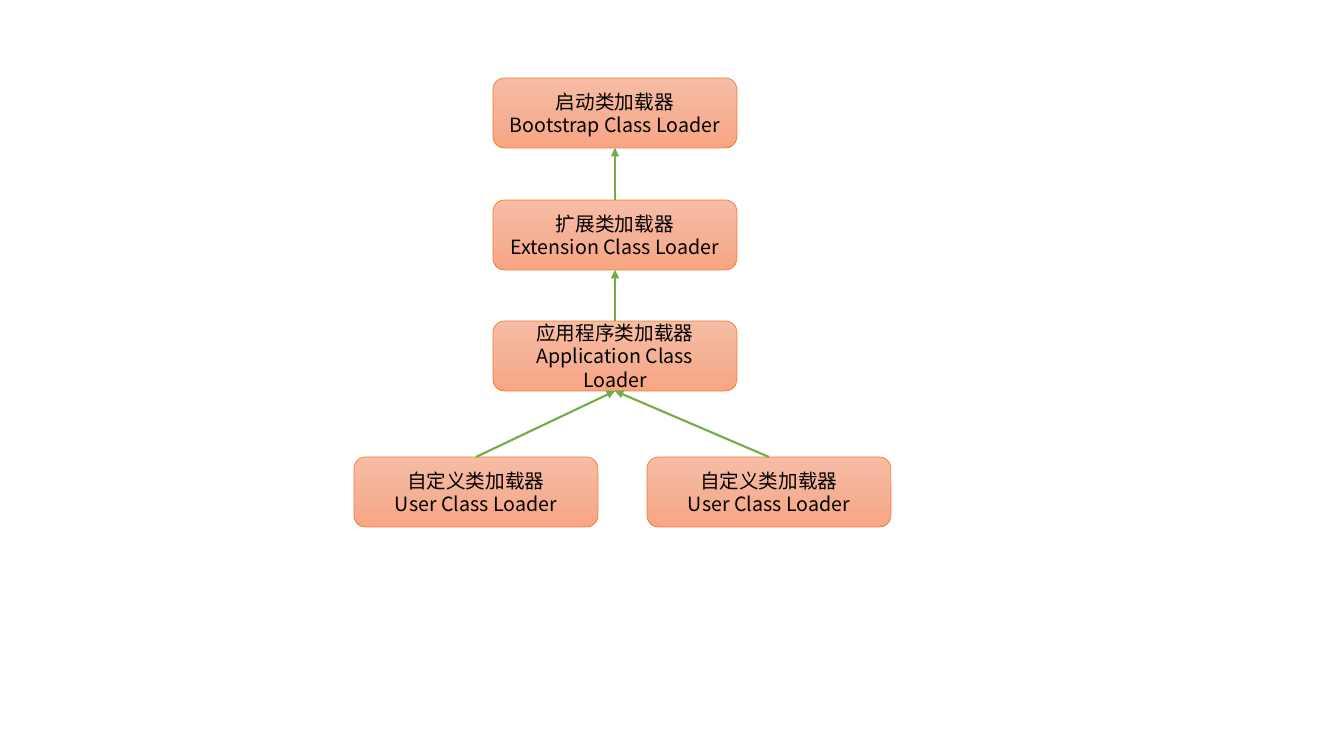
from copy import deepcopy

from pptx import Presentation
from pptx.dml.color import RGBColor
from pptx.enum.shapes import MSO_CONNECTOR, MSO_SHAPE
from pptx.enum.text import MSO_ANCHOR, PP_ALIGN
from pptx.oxml.ns import qn
from pptx.util import Pt
from lxml import etree

ROUNDED = MSO_SHAPE.ROUNDED_RECTANGLE
STRAIGHT = MSO_CONNECTOR.STRAIGHT
CENTER = PP_ALIGN.CENTER
MIDDLE = MSO_ANCHOR.MIDDLE

PX = 914400 / 100.8
TOP, BOTTOM = 0, 2
BOX_WIDTH, BOX_HEIGHT = 244, 70
GRADIENT = [(0, "F7BDA5"), (0.5, "F5B196"), (1, "F8A582")]


def color(hex_string):
    return RGBColor.from_string(hex_string)


def write_text(shape, text, font="Noto Sans CJK SC", size=14, ink="000000", spacing=16.8):
    frame = shape.text_frame
    frame.word_wrap = True
    frame.vertical_anchor = MIDDLE
    frame.text = text
    for paragraph in frame.paragraphs:
        paragraph.alignment = CENTER
        paragraph.line_spacing = Pt(spacing)
        for run in paragraph.runs:
            run.font.size = Pt(size)
            run.font.name = font
            run.font.color.rgb = color(ink)
            # East Asian characters take their typeface from a:ea
            etree.SubElement(run.font._element, qn("a:ea"), typeface=font)


presentation = Presentation()
presentation.slide_width = round(1344 * PX)
presentation.slide_height = round(756 * PX)
slide = presentation.slides.add_slide(presentation.slide_layouts[6])

# Class loader boxes: left, top, text
loaders = {
    "bootstrap": (493, 78, "启动类加载器\nBootstrap Class Loader"),
    "extension": (493, 200, "扩展类加载器\nExtension Class Loader"),
    "application": (493, 321, "应用程序类加载器\nApplication Class Loader"),
    "user left": (354, 457, "自定义类加载器\nUser Class Loader"),
    "user right": (647, 457, "自定义类加载器\nUser Class Loader"),
}
boxes = {}
for name, (left, top, text) in loaders.items():
    box = slide.shapes.add_shape(
        ROUNDED, *(round(length * PX) for length in (left, top, BOX_WIDTH, BOX_HEIGHT)))
    box.shadow.inherit = False
    box.line.color.rgb = color("ED7D31")
    box.line.width = Pt(0.5)

    # Vertical gradient with a third stop in the middle
    box.fill.gradient()
    box.fill.gradient_angle = 270
    stop_list = box._element.spPr.find(qn("a:gradFill")).find(qn("a:gsLst"))
    stop_list.insert(1, deepcopy(stop_list[0]))
    for stop, (position, shade) in zip(box.fill.gradient_stops, GRADIENT):
        stop.position = position
        stop.color.rgb = color(shade)

    write_text(box, text)
    boxes[name] = box

# Arrows from each loader up to its parent
parents = [
    ("user left", "application"),
    ("user right", "application"),
    ("extension", "bootstrap"),
    ("application", "extension"),
]
for child, parent in parents:
    start, end = boxes[child], boxes[parent]
    arrow = slide.shapes.add_connector(
        STRAIGHT, start.left + start.width // 2, start.top,
        end.left + end.width // 2, end.top + end.height)
    arrow.begin_connect(start, TOP)
    arrow.end_connect(end, BOTTOM)
    arrow.line.color.rgb = color("70AD47")
    arrow.line.width = Pt(1.5)
    etree.SubElement(arrow.line._get_or_add_ln(), qn("a:tailEnd"), type="triangle")
    etree.SubElement(arrow._element.spPr, qn("a:effectLst"))

presentation.save("out.pptx")
